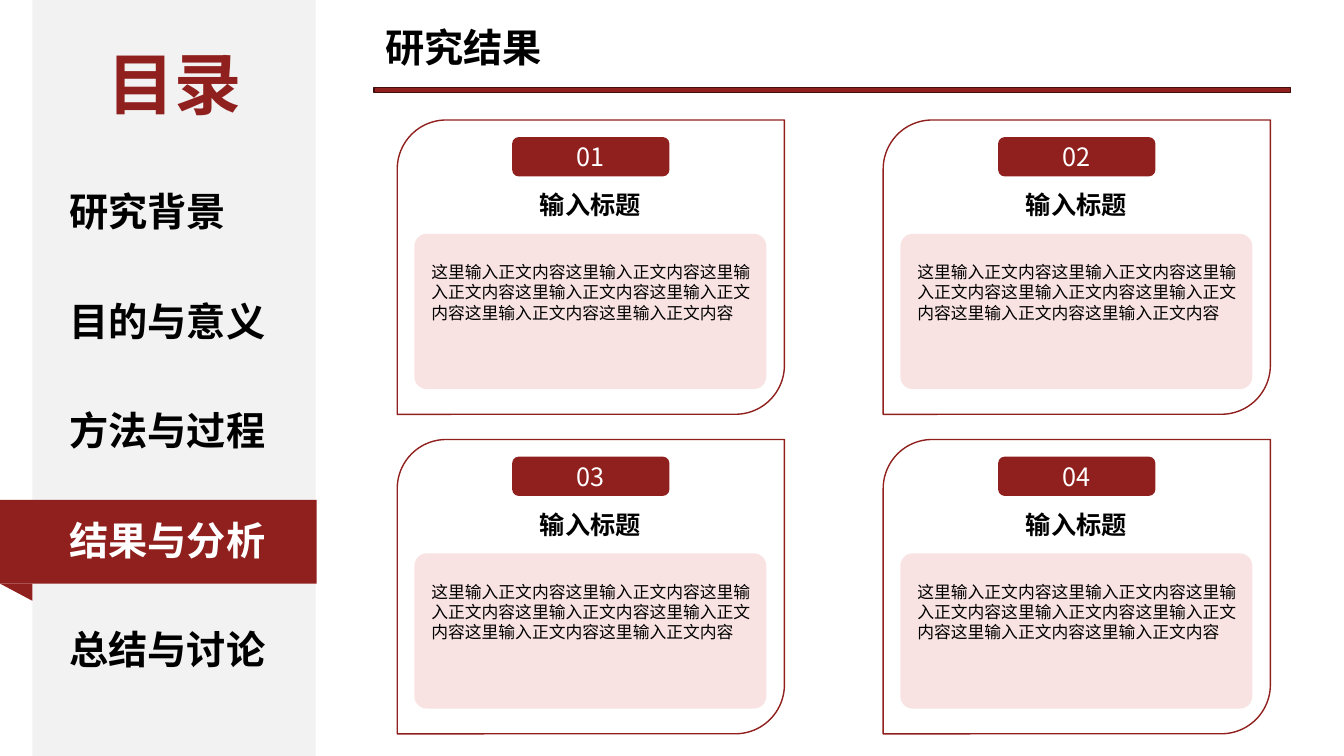
"""Build the research results slide: a contents sidebar and four numbered cards."""
from itertools import product
from lxml.etree import SubElement
from pptx import Presentation
from pptx.dml.color import RGBColor
from pptx.enum.shapes import MSO_SHAPE
from pptx.enum.text import MSO_ANCHOR, PP_ALIGN
from pptx.oxml.ns import qn
from pptx.util import Inches, Pt

THEME = {
    "font": "Noto Sans CJK SC",
    "red": RGBColor.from_string("90201E"),
    "edge": RGBColor.from_string("3F0E0D"),
    "pink": RGBColor.from_string("F3C8C7"),
    "grey": RGBColor.from_string("F2F2F2"),
    "black": RGBColor.from_string("000000"),
    "white": RGBColor.from_string("FFFFFF"),
    "contents": Pt(48), "heading": Pt(28), "label": Pt(18), "body": Pt(12),
}


def add_shape(kind, box, fill=None, line=None):
    """Add a flat preset shape with an optional fill and 1 pt line."""
    sp = s.shapes.add_shape(kind, *map(Inches, box))
    sp.shadow.inherit = False
    for part, color in ((sp.fill, fill), (sp.line.fill, line)):
        if color:
            part.solid()
            part.fore_color.rgb = THEME[color]
        else:
            part.background()
    if line:
        sp.line.width = Pt(1)
    return sp


def write(sp, text, size, color="black", bold=True, align=PP_ALIGN.LEFT, anchor=MSO_ANCHOR.TOP):
    """Write one formatted paragraph into a shape."""
    tf = sp.text_frame
    tf.word_wrap = True
    tf.vertical_anchor = anchor
    p = tf.paragraphs[0]
    p.alignment = align
    r = p.add_run()
    r.text = text
    r.font.color.rgb = THEME[color]
    for name, value in {"size": THEME[size], "bold": bold, "name": THEME["font"]}.items():
        setattr(r.font, name, value)
    SubElement(r._r.get_or_add_rPr(), qn("a:ea"), typeface=THEME["font"])


prs = Presentation()
prs.slide_width, prs.slide_height = Inches(13.33), Inches(7.5)
s = prs.slides.add_slide(prs.slide_layouts[5])

title = s.shapes.title
for name, value in {"left": 3.72, "top": 0.18, "width": 4.93, "height": 0.57}.items():
    setattr(title, name, Inches(value))
write(title, "研究结果", "heading")
add_shape(MSO_SHAPE.RECTANGLE, (3.71, 0.87, 9.09, 0.05), "red", "edge")

add_shape(MSO_SHAPE.RECTANGLE, (0.32, 0, 2.81, 7.5), "grey")
add_shape(MSO_SHAPE.RECTANGLE, (0, 4.96, 3.14, 0.83), "red")
fold = add_shape(MSO_SHAPE.RIGHT_TRIANGLE, (0, 5.79, 0.32, 0.17), "red")
fold.rotation = 180
contents = s.shapes.add_textbox(*map(Inches, (0.76, 0.37, 1.94, 0.91)))
write(contents, "目录", "contents", "red", align=PP_ALIGN.CENTER)

sections = ["研究背景", "目的与意义", "方法与过程", "结果与分析", "总结与讨论"]
for i, section in enumerate(sections):
    entry = s.shapes.add_textbox(*map(Inches, (0.59, 1.81 + 1.087 * i, 2.21, 0.57)))
    write(entry, section, "heading", "white" if section == "结果与分析" else "black")

for i, (y, x) in enumerate(product((1.19, 4.36), (3.94, 8.76)), 1):
    panel = add_shape(MSO_SHAPE.ROUNDED_RECTANGLE, (x + 0.17, y + 1.13, 3.49, 1.54), "pink")
    panel.adjustments[0] = 0.08
    tint = panel.fill._xPr.find(".//" + qn("a:srgbClr"))
    SubElement(tint, qn("a:alpha"), val="50000")
    badge = add_shape(MSO_SHAPE.ROUNDED_RECTANGLE, (x + 1.14, y + 0.17, 1.56, 0.39), "red")
    write(badge, f"{i:02}", "label", "white", False, PP_ALIGN.CENTER, MSO_ANCHOR.MIDDLE)
    add_shape(MSO_SHAPE.ROUND_2_DIAG_RECTANGLE, (x, y, 3.84, 2.92), line="red")
    label = s.shapes.add_textbox(*map(Inches, (x + 0.88, y + 0.64, 2.07, 0.4)))
    write(label, "输入标题", "label", align=PP_ALIGN.CENTER)
    body = s.shapes.add_textbox(*map(Inches, (x + 0.24, y + 1.36, 3.37, 1.11)))
    write(body, "这里输入正文内容" * 7, "body", bold=False)

prs.save("out.pptx")
